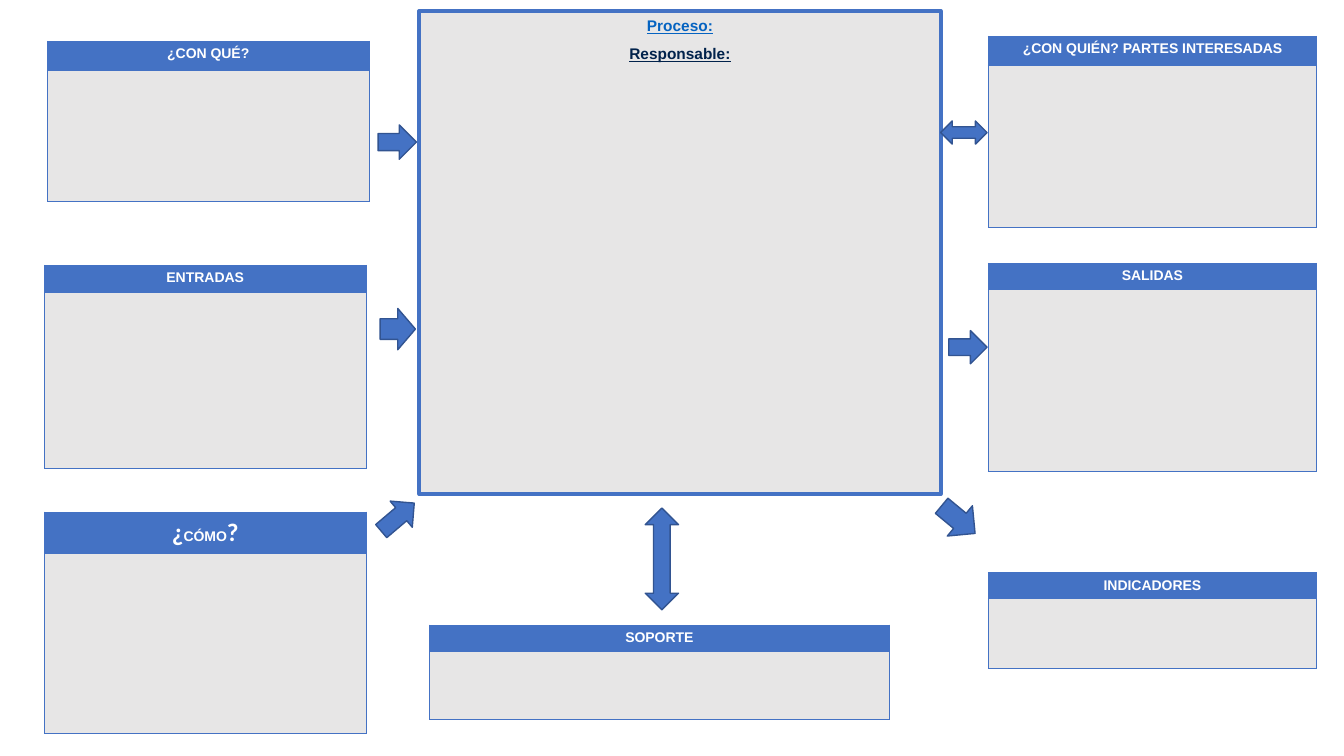
import dataclasses

import lxml.etree
import pptx
import pptx.dml.color
import pptx.enum.shapes
import pptx.enum.text
import pptx.oxml.ns
import pptx.shapes.autoshape
import pptx.slide
import pptx.table
import pptx.util

# Grid: 133.3 columns by 75 rows
SLIDE_WIDTH = pptx.util.Inches(13.33)
SLIDE_HEIGHT = pptx.util.Inches(7.5)
COLUMN = SLIDE_WIDTH / 133.3
ROW = SLIDE_HEIGHT / 75

BLUE = "4472C4"
DARK_BLUE = "325491"
GREY = "E7E6E6"
WHITE = "FFFFFF"
LINK_BLUE = "0563C1"
NAVY = "01224B"

Shape = pptx.enum.shapes.MSO_SHAPE
CENTER = pptx.enum.text.PP_ALIGN.CENTER


@dataclasses.dataclass(frozen=True)
class Span:
    text: str
    size: float = 10
    font: str = "Arial"
    color: str = WHITE
    underline: bool = False


@dataclasses.dataclass(frozen=True)
class Area:
    left: float
    top: float
    width: float
    height: float

    def place(self) -> tuple[int, int, int, int]:
        return (round(self.left * COLUMN), round(self.top * ROW),
                round(self.width * COLUMN), round(self.height * ROW))


@dataclasses.dataclass(frozen=True)
class Panel:
    heading: tuple[Span, ...]
    left: float
    top: float
    width: float
    header: float
    body: float


@dataclasses.dataclass(frozen=True)
class Arrow:
    kind: Shape
    area: Area
    rotation: float = 0


LEFT_WIDTH, RIGHT_LEFT, RIGHT_WIDTH = 31.9, 98, 32.6

PANELS = (
    Panel((Span("¿CON QUÉ?"),), 4.7, 4.1, LEFT_WIDTH, 2.9, 13),
    Panel((Span("ENTRADAS"),), 4.4, 26.3, LEFT_WIDTH, 2.7, 17.5),
    Panel((Span("¿", 18, "Calibri"), Span("CÓMO"), Span("?", 18, "Calibri")),
          4.4, 50.8, LEFT_WIDTH, 4, 17.9),
    Panel((Span("INDICADORES"),), RIGHT_LEFT, 56.8, RIGHT_WIDTH, 2.5, 6.9),
    Panel((Span("SALIDAS"),), RIGHT_LEFT, 26.1, RIGHT_WIDTH, 2.6, 18.1),
    Panel((Span("¿CON QUIÉN? PARTES INTERESADAS"),),
          RIGHT_LEFT, 3.6, RIGHT_WIDTH, 2.9, 16.1),
    Panel((Span("SOPORTE"),), 42.6, 62, 45.6, 2.6, 6.8),
)

PROCESS_AREA = Area(41.6, 1.1, 51.7, 47.9)
PROCESS_LINES = (
    Span("Proceso:", 11, color=LINK_BLUE, underline=True),
    Span("Responsable:", 11, color=NAVY, underline=True),
)

ARROWS = (
    Arrow(Shape.RIGHT_ARROW, Area(37.5, 12.4, 3.8, 3.4)),
    Arrow(Shape.RIGHT_ARROW, Area(37.7, 30.6, 3.5, 4.1)),
    Arrow(Shape.RIGHT_ARROW, Area(37.3, 49.6, 4.3, 3.4), 319.7),
    Arrow(Shape.RIGHT_ARROW, Area(94.1, 32.8, 3.8, 3.3)),
    Arrow(Shape.RIGHT_ARROW, Area(92.9, 49.6, 4.3, 3.9), 39.6),
    Arrow(Shape.LEFT_RIGHT_ARROW, Area(93.3, 12, 4.6, 2.3)),
    Arrow(Shape.UP_DOWN_ARROW, Area(64, 50.4, 3.3, 10.1)),
)


def rgb(color: str) -> pptx.dml.color.RGBColor:
    return pptx.dml.color.RGBColor.from_string(color)


def add_span(para, span: Span) -> None:
    para.alignment = CENTER
    run = para.add_run()
    run.text = span.text
    run.font.size = pptx.util.Pt(span.size)
    run.font.name = span.font
    run.font.bold = True
    run.font.underline = span.underline
    run.font.color.rgb = rgb(span.color)


def style_cell(cell: pptx.table._Cell, fill: str) -> None:
    properties = cell._tc.get_or_add_tcPr()
    name = pptx.oxml.ns.qn
    for side in ("a:lnL", "a:lnR", "a:lnT", "a:lnB"):
        line = lxml.etree.SubElement(properties, name(side), w=str(pptx.util.Pt(0.5)))
        solid = lxml.etree.SubElement(line, name("a:solidFill"))
        lxml.etree.SubElement(solid, name("a:srgbClr"), val=BLUE)
    cell.fill.solid()
    cell.fill.fore_color.rgb = rgb(fill)


def add_panel(page: pptx.slide.Slide, panel: Panel) -> None:
    area = Area(panel.left, panel.top, panel.width, panel.header + panel.body)
    table = page.shapes.add_table(2, 1, *area.place()).table
    table.horz_banding = False
    for row, height, fill in zip(table.rows, (panel.header, panel.body), (BLUE, GREY)):
        row.height = round(height * ROW)
        style_cell(row.cells[0], fill)
    para = table.cell(0, 0).text_frame.paragraphs[0]
    for span in panel.heading:
        add_span(para, span)


def add_box(page: pptx.slide.Slide, kind: Shape, area: Area, fill: str,
            line: str, weight: float) -> pptx.shapes.autoshape.Shape:
    box = page.shapes.add_shape(kind, *area.place())
    box.shadow.inherit = False
    box.fill.solid()
    box.fill.fore_color.rgb = rgb(fill)
    box.line.color.rgb = rgb(line)
    box.line.width = pptx.util.Pt(weight)
    return box


def add_process(page: pptx.slide.Slide) -> None:
    box = add_box(page, Shape.RECTANGLE, PROCESS_AREA, GREY, BLUE, 3)
    frame = box.text_frame
    frame.word_wrap = True
    frame.vertical_anchor = pptx.enum.text.MSO_ANCHOR.TOP
    first, second = PROCESS_LINES
    add_span(frame.paragraphs[0], first)
    para = frame.add_paragraph()
    para.space_before = pptx.util.Pt(7)
    add_span(para, second)


def main() -> None:
    deck = pptx.Presentation()
    deck.slide_width = SLIDE_WIDTH
    deck.slide_height = SLIDE_HEIGHT
    page = deck.slides.add_slide(deck.slide_layouts.get_by_name("Blank"))

    # Panels around the process
    for panel in PANELS:
        add_panel(page, panel)

    # Central process box
    add_process(page)

    # Arrows between panels and process
    for arrow in ARROWS:
        box = add_box(page, arrow.kind, arrow.area, BLUE, DARK_BLUE, 1)
        box.rotation = arrow.rotation

    deck.save("out.pptx")


if __name__ == "__main__":
    main()
